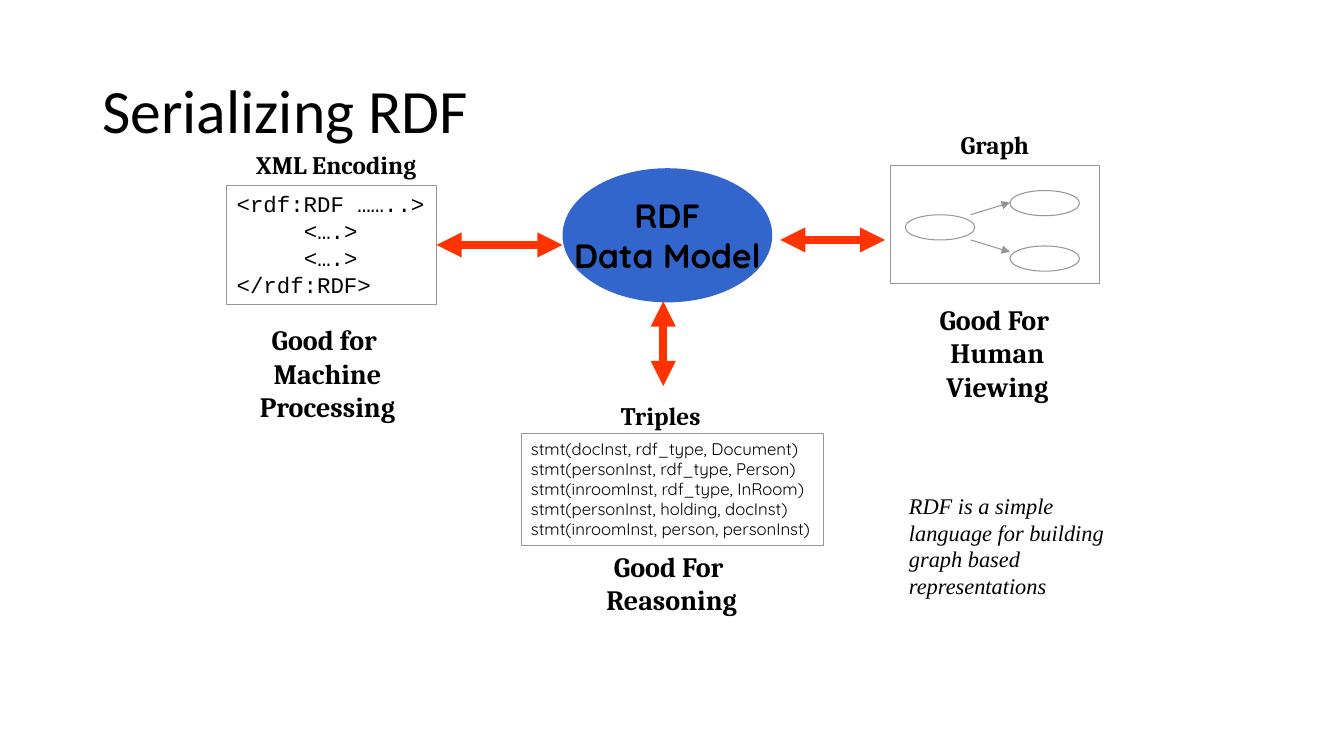
from lxml.etree import SubElement
from pptx import Presentation
from pptx.dml.color import RGBColor
from pptx.enum.shapes import MSO_CONNECTOR as Connector, MSO_SHAPE as Preset
from pptx.enum.text import MSO_ANCHOR as Anchor, MSO_AUTO_SIZE as AutoSize, PP_ALIGN as Align
from pptx.oxml.ns import qn
from pptx.util import Pt

BLACK = RGBColor(0x00, 0x00, 0x00)
GRAY = RGBColor(0x96, 0x96, 0x96)
BLUE = RGBColor(0x33, 0x66, 0xCC)
RED = RGBColor(0xFF, 0x33, 0x00)

TITLE_ONLY = 5
RIGHT_SIDE = 3
CODE_INDENT = 48
NODE_SIZE = (49.7, 18)

RDF_CODE = ["<rdf:RDF ……..>", "<….>", "<….>", "</rdf:RDF>"]
STATEMENTS = [
    "docInst, rdf_type, Document",
    "personInst, rdf_type, Person",
    "inroomInst, rdf_type, InRoom",
    "personInst, holding, docInst",
    "inroomInst, person, personInst",
]
HEADINGS = [
    ("XML Encoding", (164.2, 103, 151.9, 28.8)),
    ("Graph", (673.9, 88.6, 73.4, 28.8)),
    ("Triples", (432, 282.2, 79.9, 28.8)),
]
# A vertical tab is a line break inside a paragraph.
BENEFITS = [
    (["Good for ", "Machine\vProcessing"], (170.6, 226.8, 126.7, 79.2)),
    (["Good For ", "Human\vViewing"], (654.5, 212.4, 115.9, 79.2)),
    (["Good For ", "Reasoning"], (418.3, 388.8, 123.1, 55.4)),
]


def points(values):
    return [Pt(value) for value in values]


def write_text(shape, lines, font="Calibri", size=18, bold=False, italic=False,
               align=Align.LEFT, anchor=Anchor.TOP, wrap=True,
               auto_size=AutoSize.NONE, spacing=None, indents=()):
    """Write one paragraph per line; indents gives left margins by paragraph."""
    frame = shape.text_frame
    frame.word_wrap = wrap
    frame.auto_size = auto_size
    frame.vertical_anchor = anchor
    for index, line in enumerate(lines):
        paragraph = frame.paragraphs[0] if index == 0 else frame.add_paragraph()
        paragraph.text = line
        paragraph.alignment = align
        paragraph.line_spacing = spacing
        if index < len(indents):
            paragraph._p.get_or_add_pPr().set("marL", str(Pt(indents[index])))
        for run in paragraph.runs:
            run.font.name = font
            run.font.size = Pt(size)
            run.font.bold = bold
            run.font.italic = italic
            run.font.color.rgb = BLACK


def add_text(shapes, lines, box, **style):
    write_text(shapes.add_textbox(*points(box)), lines,
               auto_size=AutoSize.SHAPE_TO_FIT_TEXT, **style)


def add_shape(shapes, preset, box, fill=None):
    """Add a filled shape without outline, or an outlined one without fill."""
    shape = shapes.add_shape(preset, *points(box))
    shape.shadow.inherit = False
    if fill is None:
        shape.fill.background()
        shape.line.color.rgb = GRAY
        shape.line.width = Pt(0.75)
    else:
        shape.fill.solid()
        shape.fill.fore_color.rgb = fill
        shape.line.fill.background()
    return shape


def add_arrow(shapes, start, end, color, width, both_ends=False):
    arrow = shapes.add_connector(Connector.STRAIGHT, *points(start + end))
    arrow.line.color.rgb = color
    arrow.line.width = Pt(width)
    outline = arrow.line._get_or_add_ln()
    for tag in ("a:headEnd", "a:tailEnd") if both_ends else ("a:tailEnd",):
        SubElement(outline, qn(tag)).set("type", "triangle")
    SubElement(arrow._element.spPr, qn("a:effectLst"))
    return arrow


def add_graph(slide):
    shapes = slide.shapes.add_group_shape().shapes
    for corner in ((646.6, 153.4), (721.4, 136.1), (721.4, 175.7)):
        add_shape(shapes, Preset.OVAL, corner + NODE_SIZE)
    add_arrow(shapes, (693.4, 153.4), (721.4, 144.7), GRAY, 0.75)
    add_arrow(shapes, (693.4, 171.4), (721.4, 180), GRAY, 0.75)
    add_shape(shapes, Preset.RECTANGLE, (635.8, 118.1, 149.8, 84.2))


def add_title(slide, text):
    title = slide.shapes.title
    title.left, title.top, title.width, title.height = points((66, 28.8, 828, 104.4))
    write_text(title, [text], size=44, anchor=Anchor.MIDDLE, spacing=0.9)


def main():
    presentation = Presentation()
    presentation.slide_width, presentation.slide_height = Pt(960), Pt(540)
    slide = presentation.slides.add_slide(presentation.slide_layouts[TITLE_ONLY])
    shapes = slide.shapes
    add_title(slide, "Serializing RDF")

    xml_box = add_shape(shapes, Preset.RECTANGLE, (162, 132.5, 149.8, 85))
    write_text(xml_box, RDF_CODE, font="Courier New", size=16,
               indents=(0, CODE_INDENT, CODE_INDENT, 0))
    add_graph(slide)
    triples_box = add_shape(shapes, Preset.RECTANGLE, (372.2, 309.6, 216, 79.9))
    write_text(triples_box, [f"stmt({terms})" for terms in STATEMENTS],
               font="Quicksand", size=12)
    model = add_shape(shapes, Preset.OVAL, (401.8, 120.2, 149.8, 95.8), BLUE)
    write_text(model, ["RDF", "Data Model"], font="Quicksand", size=24, bold=True,
               align=Align.CENTER, anchor=Anchor.MIDDLE, wrap=False)

    xml_arrow = add_arrow(shapes, (311.8, 175), (401.8, 175), RED, 6, both_ends=True)
    xml_arrow.begin_connect(xml_box, RIGHT_SIDE)
    add_arrow(shapes, (557.3, 171.4), (632.2, 171.4), RED, 6, both_ends=True)
    add_arrow(shapes, (473.8, 215.3), (473.8, 275.8), RED, 6, both_ends=True)

    label_style = dict(font="Cambria", bold=True, align=Align.CENTER, wrap=False)
    for heading, box in HEADINGS:
        add_text(shapes, [heading], box, size=18, **label_style)
    for lines, box in BENEFITS:
        add_text(shapes, lines, box, size=20, **label_style)
    add_text(shapes, ["RDF is a simple language for building graph based representations"],
             (642.2, 347.8, 174.2, 84.2), font="Times New Roman", size=16, italic=True)

    presentation.save("out.pptx")


if __name__ == "__main__":
    main()
